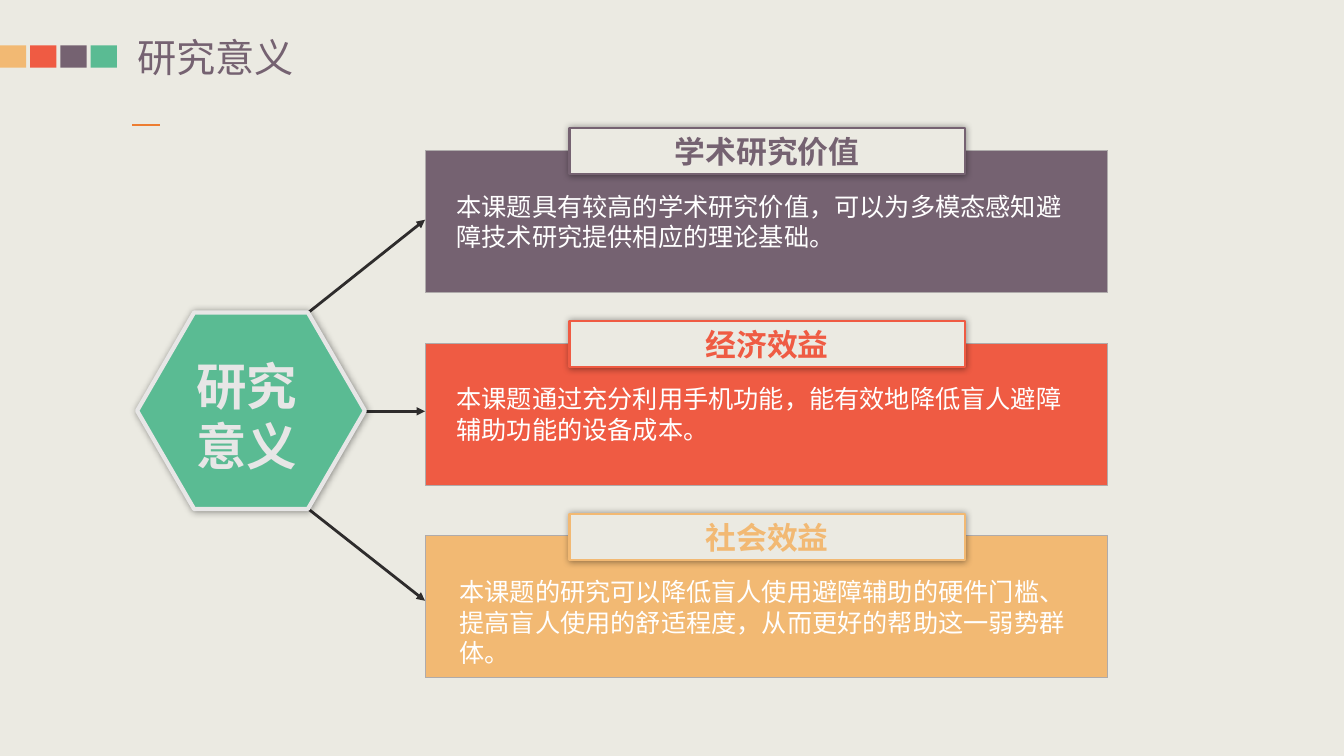
from pptx import Presentation
from pptx import util as u
from pptx.dml.color import RGBColor
from pptx.enum import shapes, text
from pptx.oxml import parse_xml
from pptx.oxml.ns import nsdecls, qn
from lxml import etree

PLUM = RGBColor(0x75, 0x62, 0x71)
CORAL = RGBColor(0xEF, 0x5B, 0x43)
SAND = RGBColor(0xF2, 0xB9, 0x73)
GREEN = RGBColor(0x5A, 0xBB, 0x93)
PAPER = RGBColor(0xEB, 0xEA, 0xE2)
MIST = RGBColor(0xE7, 0xE6, 0xE6)
GREY = RGBColor(0xAF, 0xAB, 0xAB)
INK = RGBColor(0x2E, 0x2C, 0x2C)
AMBER = RGBColor(0xED, 0x7D, 0x31)
WHITE = RGBColor(0xFF, 0xFF, 0xFF)

FONT = "Noto Sans CJK SC"
WIDE, HIGH = u.Inches(13.33), u.Inches(7.5)
COLS, ROWS = 80, 45
PITCH = 11.48

CARDS = [
    (PLUM, "学术研究价值", 0,
     "本课题具有较高的学术研究价值，可以为多模态感知避障技术研究提供相应的理论基础。"),
    (CORAL, "经济效益", 0,
     "本课题通过充分利用手机功能，能有效地降低盲人避障辅助功能的设备成本。"),
    (SAND, "社会效益", 0.18,
     "本课题的研究可以降低盲人使用避障辅助的硬件门槛、提高盲人使用的舒适程度，"
     "从而更好的帮助这一弱势群体。"),
]
ARROWS = [(18.36, 18.6, 25.3, 13.08),
          (21.72, 24.48, 25.3, 24.48),
          (18.36, 30.3, 25.3, 35.76)]


def grid(*cells):
    return [int(c * (HIGH / ROWS if i % 2 else WIDE / COLS))
            for i, c in enumerate(cells)]


def apply(item, form):
    for name, value in form.items():
        setattr(item, name, value)


def shape(slide, kind, box, fill, line=None, width=0, glow=False):
    item = slide.shapes.add_shape(kind, *grid(*box))
    item.shadow.inherit = False
    item.fill.solid()
    item.fill.fore_color.rgb = fill
    if line is None:
        item.line.fill.background()
    else:
        item.line.color.rgb = line
        item.line.width = u.Pt(width)
    if glow:
        item._element.spPr.find(qn("a:effectLst")).append(parse_xml(
            f'<a:outerShdw {nsdecls("a")} blurRad="63500" dist="0" dir="0">'
            '<a:srgbClr val="000000"><a:alpha val="40000"/></a:srgbClr>'
            '</a:outerShdw>'))
    return item


def write(item, words, size, tint, bold=False, align=text.PP_ALIGN.LEFT,
          anchor=text.MSO_ANCHOR.TOP):
    frame = item.text_frame
    apply(frame, {"word_wrap": True, "vertical_anchor": anchor})
    para = frame.paragraphs[0]
    para.alignment = align
    run = para.add_run()
    run.text = words
    apply(run.font, {"name": FONT, "size": u.Pt(size), "bold": bold})
    run.font.color.rgb = tint
    face = etree.SubElement(run.font._element, qn("a:ea"))
    face.set("typeface", FONT)


def label(slide, box, *args, **form):
    write(slide.shapes.add_textbox(*grid(*box)), *args, **form)


def line(slide, ends, tint, width=0, arrow=False):
    item = slide.shapes.add_connector(
        shapes.MSO_CONNECTOR.STRAIGHT, *grid(*ends))
    item.line.color.rgb = tint
    item.line.width = u.Pt(width)
    if arrow:
        tip = etree.SubElement(item.line._get_or_add_ln(), qn("a:tailEnd"))
        tip.set("type", "triangle")
    etree.SubElement(item._element.spPr, qn("a:effectLst"))


def title(slide, words):
    item = slide.shapes.title
    apply(item, dict(zip(("left", "top", "width", "height"),
                         grid(8.16, 1.98, 23.94, 2.82))))
    sides = ("left", "top", "right", "bottom")
    apply(item.text_frame, {f"margin_{side}": 0 for side in sides})
    write(item, words, 28, PLUM, anchor=text.MSO_ANCHOR.MIDDLE)


def main():
    deck = Presentation()
    apply(deck, {"slide_width": WIDE, "slide_height": HIGH})
    slide = deck.slides.add_slide(deck.slide_layouts[5])
    slide.background.fill.solid()
    slide.background.fill.fore_color.rgb = PAPER
    rect = shapes.MSO_SHAPE.RECTANGLE
    mid = text.PP_ALIGN.CENTER

    title(slide, "研究意义")
    for i, tint in enumerate((SAND, CORAL, PLUM, GREEN)):
        shape(slide, rect, (i * 1.8, 2.7, 1.56, 1.32), tint)
    for i, (tint, _, shift, body) in enumerate(CARDS):
        top = 8.94 + i * PITCH
        shape(slide, rect, (25.3, top, 40.65, 8.46), tint, GREY)
        label(slide, (26.58 + shift, top + 2.13, 37.8, 4.26), body, 18, WHITE)

    line(slide, (7.86, 7.44, 9.54, 7.44), AMBER, 1.5)
    for ends in ARROWS:
        line(slide, ends, INK, arrow=True)

    for i, (tint, head, _, _) in enumerate(CARDS):
        top = 7.62 + i * PITCH
        shape(slide, rect, (33.9, top, 23.52, 2.76), PAPER, tint, 1.5, True)
        label(slide, (35.46, top, 20.4, 2.82), head, 22, tint,
              bold=True, align=mid)

    hexa = shape(slide, shapes.MSO_SHAPE.HEXAGON, (8.16, 18.6, 13.56, 11.7),
                 GREEN, MIST, 3, True)
    hexa.adjustments[0] = 0.29
    label(slide, (9.78, 20.82, 9.84, 7.86), "研究意义", 36, MIST,
          bold=True, align=mid)
    deck.save("out.pptx")


main()
